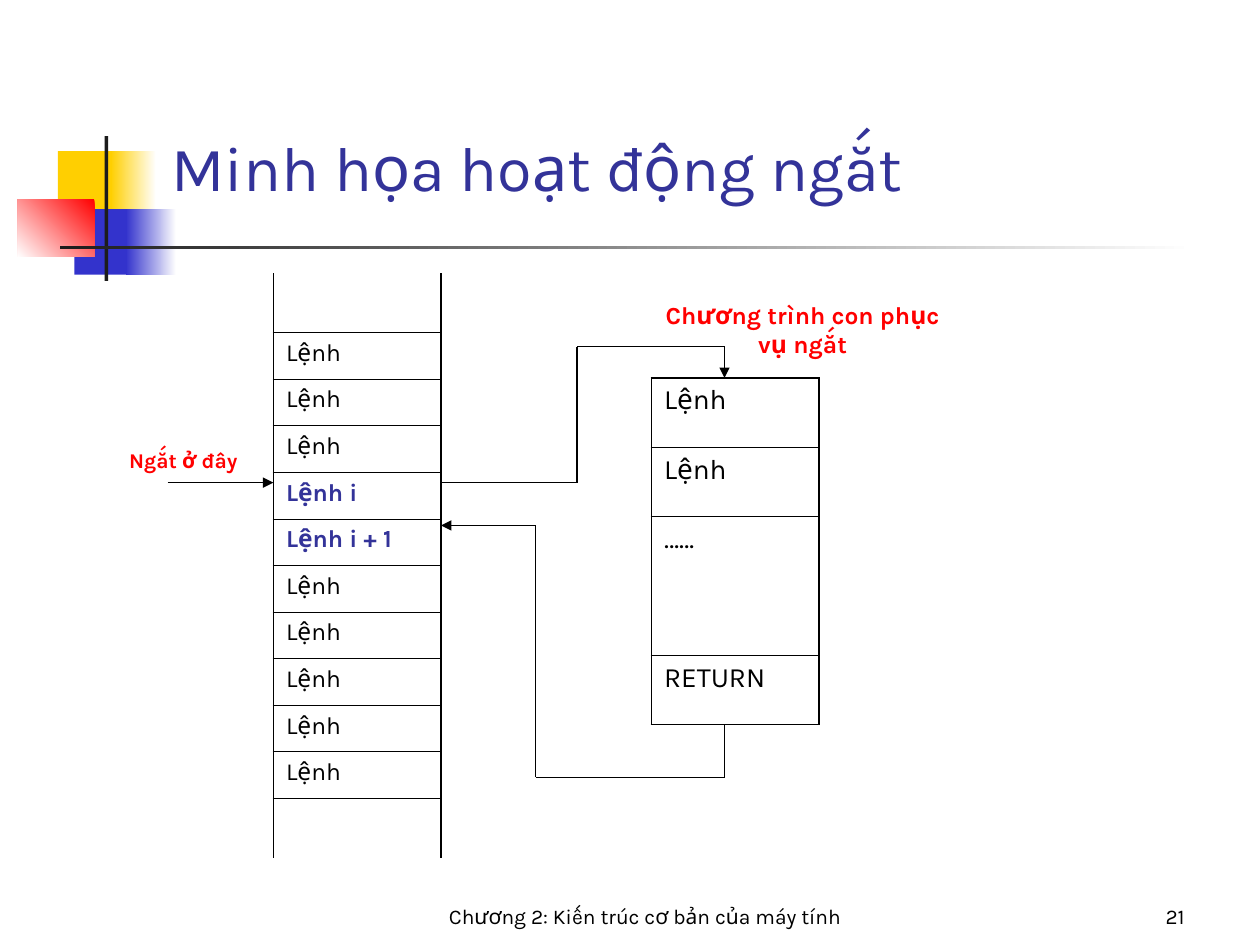
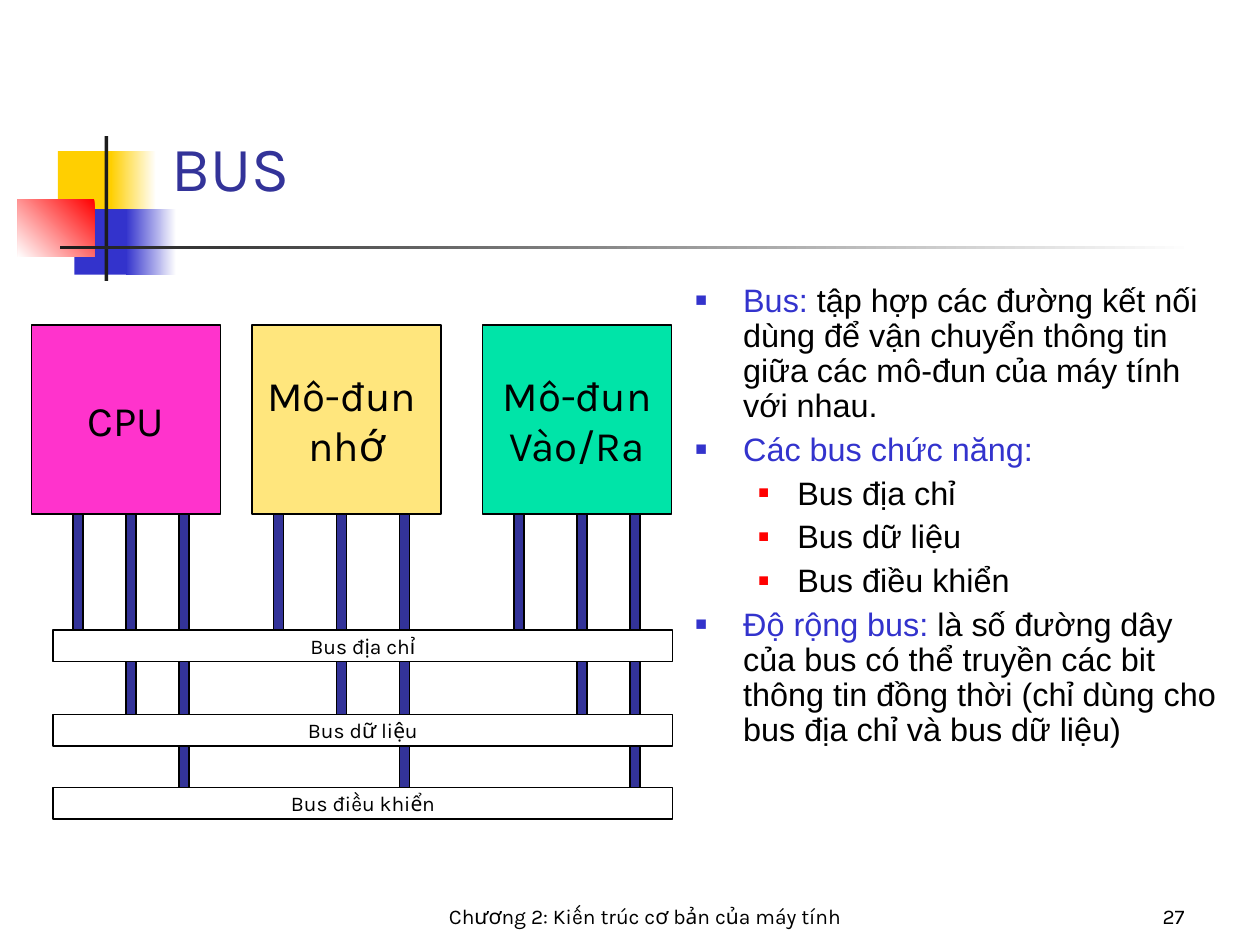
from lxml.etree import SubElement
from pptx import Presentation
from pptx.dml.color import RGBColor
from pptx.enum.shapes import MSO_CONNECTOR, MSO_SHAPE
from pptx.enum.text import MSO_ANCHOR, PP_ALIGN
from pptx.oxml.ns import qn
from pptx.util import Inches, Pt

BLACK, WHITE, RED = "000000", "FFFFFF", "FF0000"
NAVY, BLUE, TERM_BLUE = "333399", "3333CC", "3333CD"
YELLOW, CHARCOAL = "FFCF01", "1C1C1C"
FOOTER = "Chương 2: Kiến trúc cơ bản của máy tính"


def color(hex_value):
    return RGBColor.from_string(hex_value)


def write(paragraph, text, size=12, ink=BLACK, bold=False, font="Karla",
          align=PP_ALIGN.LEFT, before=0, spacing=1.0):
    paragraph.alignment = align
    paragraph.space_before = Pt(before)
    paragraph.line_spacing = spacing
    run = paragraph.add_run()
    run.text = text
    run.font.size = Pt(size)
    run.font.name = font
    run.font.bold = bold
    run.font.color.rgb = color(ink)


presentation = Presentation()
presentation.slide_width = Inches(10)
presentation.slide_height = Inches(7.5)

decorations = [
    ((0.46, 1.2, 0.48, 0.52), [YELLOW], 0),
    ((0.88, 1.2, 0.36, 0.52), [WHITE, YELLOW], 180),
    ((0.59, 1.66, 0.46, 0.52), [BLUE], 0),
    ((1, 1.66, 0.4, 0.52), [WHITE, BLUE], 180),
    ((0.14, 1.58, 0.61, 0.46), [RED, WHITE], 225),
    ((0.83, 1.08, 0.03, 1.15), [CHARCOAL], 0),
    ((0.48, 1.95, 9, 0.03), [WHITE, CHARCOAL], 180),
]

slides = []
for title, number in [("Minh họa hoạt động ngắt", "21"), ("BUS", "27")]:
    slide = presentation.slides.add_slide(presentation.slide_layouts[6])
    slides.append(slide)
    for box, colors, angle in decorations:
        shape = slide.shapes.add_shape(MSO_SHAPE.RECTANGLE, *map(Inches, box))
        shape.shadow.inherit = False
        shape.line.fill.background()
        if len(colors) == 1:
            shape.fill.solid()
            shape.fill.fore_color.rgb = color(colors[0])
        else:
            shape.fill.gradient()
            shape.fill.gradient_angle = angle
            for stop, stop_color in zip(shape.fill.gradient_stops, colors):
                stop.color.rgb = color(stop_color)
    for box, text, text_format in [
        ((1.26, 1, 8.52, 0.67), title, {"size": 36, "ink": NAVY}),
        ((2.08, 6.92, 6.08, 0.5), FOOTER, {"align": PP_ALIGN.CENTER}),
        ((8.33, 6.92, 1.17, 0.5), number, {"align": PP_ALIGN.RIGHT}),
    ]:
        frame = slide.shapes.add_textbox(*map(Inches, box)).text_frame
        frame.word_wrap = True
        frame.vertical_anchor = MSO_ANCHOR.BOTTOM
        write(frame.paragraphs[0], text, **text_format)

interrupt_slide, bus_slide = slides

main_program = ["", *["Lệnh"] * 3, "Lệnh i", "Lệnh i + 1", *["Lệnh"] * 5, ""]
main_heights = [0.47, *[0.37] * 10, 0.47]
service_routine = ["Lệnh", "Lệnh", "……", "RETURN"]
service_heights = [0.55, 0.55, 1.1, 0.55]

for left, top, instructions, heights, size, before, end_width in [
    (2.17, 2.17, main_program, main_heights, 14, 3.5, 0),
    (5.17, 3, service_routine, service_heights, 16, 4, 1.08),
]:
    table = interrupt_slide.shapes.add_table(
        len(instructions), 1, Inches(left), Inches(top),
        Inches(1.33), Inches(sum(heights))).table
    table.first_row = False
    table.horz_banding = False
    last = len(instructions) - 1
    for index, (instruction, height) in enumerate(zip(instructions, heights)):
        table.rows[index].height = Inches(height)
        cell = table.cell(index, 0)
        properties = cell._tc.get_or_add_tcPr()
        for side, width in [
            ("L", 1.08), ("R", 1.08),
            ("T", end_width if index == 0 else 0.45),
            ("B", end_width if index == last else 0.45),
        ]:
            border = SubElement(properties, qn(f"a:ln{side}"), w=str(Pt(width)))
            if width:
                fill = SubElement(border, qn("a:solidFill"))
                SubElement(fill, qn("a:srgbClr"), val=BLACK)
            else:
                SubElement(border, qn("a:noFill"))
        cell.fill.background()
        if instruction:
            highlighted = instruction.startswith("Lệnh i")
            write(cell.text_frame.paragraphs[0], instruction, size=size,
                  ink=NAVY if highlighted else BLACK, bold=highlighted, before=before)

for box, label, size, before in [
    ((5.08, 2.33, 2.58, 0.57), "Chương trình con phục vụ ngắt", 14, 8.8),
    ((0.83, 3.5, 1.25, 0.3), "Ngắt ở đây", 12, 7.5),
]:
    frame = interrupt_slide.shapes.add_textbox(*map(Inches, box)).text_frame
    frame.word_wrap = True
    write(frame.paragraphs[0], label, size=size, ink=RED, bold=True,
          align=PP_ALIGN.CENTER, before=before)

call_route = [(3.5, 3.83), (4.58, 3.83), (4.58, 2.75), (5.75, 2.75), (5.75, 3)]
return_route = [(5.75, 5.75), (5.75, 6.17), (4.25, 6.17), (4.25, 4.17), (3.5, 4.17)]
interrupt_route = [(1.33, 3.83), (2.17, 3.83)]
for route in [call_route, return_route, interrupt_route]:
    for start, end in zip(route, route[1:]):
        connector = interrupt_slide.shapes.add_connector(
            MSO_CONNECTOR.STRAIGHT, *map(Inches, start + end))
        connector.line.color.rgb = color(BLACK)
        connector.line.width = Pt(0.75)
        properties = connector._element.spPr
        if end == route[-1]:
            SubElement(properties.find(qn("a:ln")), qn("a:tailEnd"), type="triangle")
        SubElement(properties, qn("a:effectLst"))

body = bus_slide.shapes.add_textbox(
    Inches(5.42), Inches(2.21), Inches(4.38), Inches(4.5)).text_frame
body.word_wrap = True
bullets = [
    (0, "Bus: ", "tập hợp các đường kết nối dùng để vận chuyển thông tin "
                 "giữa các mô-đun của máy tính với nhau."),
    (0, "Các bus chức năng:", ""),
    (1, "", "Bus địa chỉ"),
    (1, "", "Bus dữ liệu"),
    (1, "", "Bus điều khiển"),
    (0, "Độ rộng bus: ", "là số đường dây của bus có thể truyền các bit thông tin "
                         "đồng thời (chỉ dùng cho bus địa chỉ và bus dữ liệu)"),
]
bullet_styles = [(0.38, -0.38, BLUE, 60), (0.81, -0.31, RED, 55)]
for index, (level, term, explanation) in enumerate(bullets):
    paragraph = body.add_paragraph() if index else body.paragraphs[0]
    paragraph.level = level
    for text, ink in [(term, TERM_BLUE), (explanation, BLACK)]:
        if text:
            write(paragraph, text, size=18.5, ink=ink, font="Arial",
                  before=5, spacing=0.9)
    margin, indent, bullet_color, percent = bullet_styles[level]
    properties = paragraph._p.get_or_add_pPr()
    properties.set("marL", str(Inches(margin)))
    properties.set("indent", str(Inches(indent)))
    SubElement(SubElement(properties, qn("a:buClr")), qn("a:srgbClr"), val=bullet_color)
    SubElement(properties, qn("a:buSzPct"), val=str(percent * 1000))
    SubElement(properties, qn("a:buFont"), typeface="Arial")
    SubElement(properties, qn("a:buChar"), char="■")

modules = [
    (0.25, "FF33CC", ["CPU"], [0.58, 1, 1.42]),
    (2, "FFE67D", ["Mô-đun ", "nhớ"], [2.17, 2.67, 3.17]),
    (3.83, "00E4A8", ["Mô-đun", "Vào/Ra"], [4.08, 4.58, 5]),
]
buses = [(5, "Bus địa chỉ"), (5.67, "Bus dữ liệu"), (6.25, "Bus điều khiển")]
module_bottom = 4.08

blocks = [((left, 2.58, 1.5, 1.5), fill, lines, 24) for left, fill, lines, _ in modules]
blocks += [((left, module_bottom, 0.08, bus_top - module_bottom), NAVY, [], 12)
           for *_, lanes in modules for left, (bus_top, _) in zip(lanes, buses)]
blocks += [((0.42, top, 4.92, 0.25), WHITE, [name], 12) for top, name in buses]

for box, fill, lines, size in blocks:
    shape = bus_slide.shapes.add_shape(MSO_SHAPE.RECTANGLE, *map(Inches, box))
    shape.shadow.inherit = False
    shape.fill.solid()
    shape.fill.fore_color.rgb = color(fill)
    shape.line.color.rgb = color(BLACK)
    shape.line.width = Pt(0.75)
    frame = shape.text_frame
    frame.word_wrap = False
    frame.vertical_anchor = MSO_ANCHOR.MIDDLE
    for index, line in enumerate(lines):
        paragraph = frame.add_paragraph() if index else frame.paragraphs[0]
        write(paragraph, line, size=size, align=PP_ALIGN.CENTER)

presentation.save("out.pptx")
